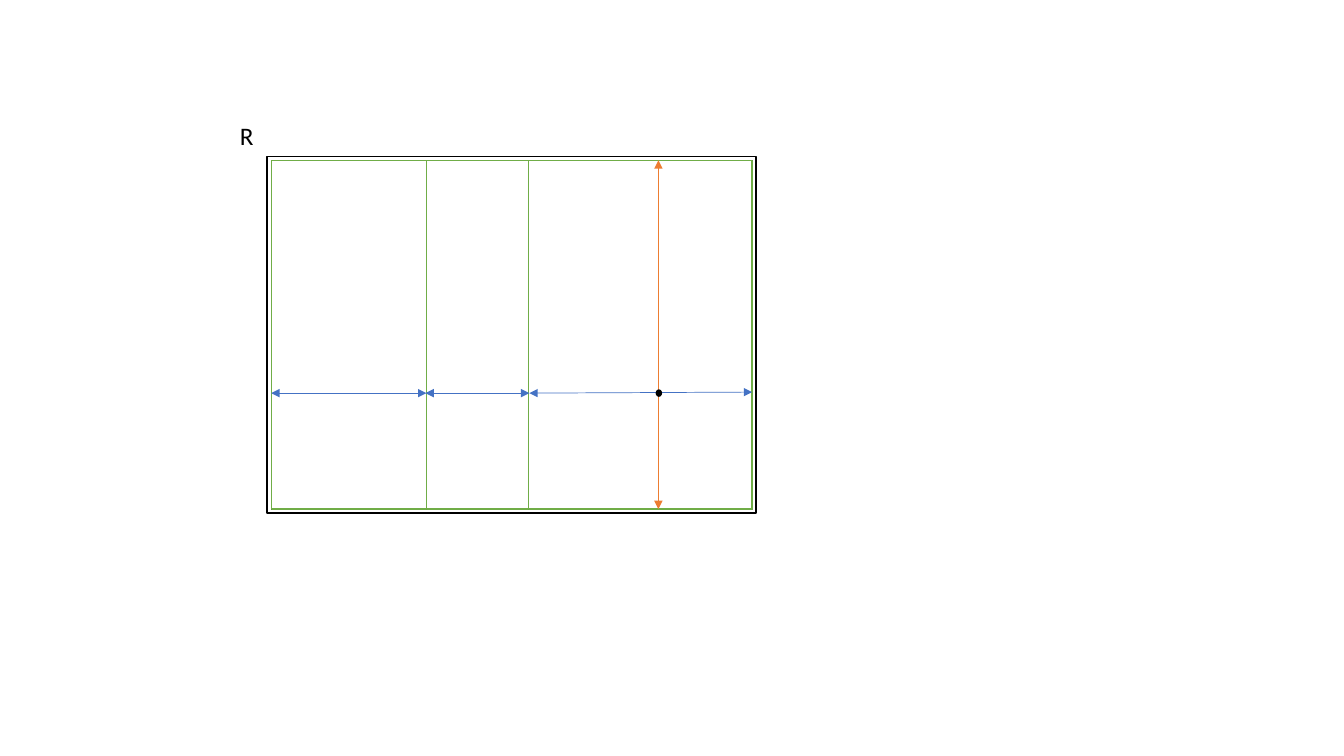
from lxml import etree
from pptx import Presentation
from pptx.dml.color import RGBColor
from pptx.enum.shapes import MSO_CONNECTOR, MSO_SHAPE
from pptx.oxml.ns import qn
from pptx.util import Inches, Pt

COLORS = {
    "black": "000000",
    "white": "FFFFFF",
    "green": "70AD47",
    "blue": "4472C4",
    "orange": "ED7D31",
}


def color(name):
    return RGBColor.from_string(COLORS[name])


def add_outlined(page, kind, left, top, width, height, fill, line):
    shape = page.shapes.add_shape(
        kind, Inches(left), Inches(top), Inches(width), Inches(height))
    shape.shadow.inherit = False
    shape.fill.solid()
    shape.fill.fore_color.rgb = color(fill)
    shape.line.color.rgb = color(line)
    shape.line.width = Pt(1)


def add_double_arrow(page, start, end, line):
    arrow = page.shapes.add_connector(
        MSO_CONNECTOR.STRAIGHT, *[Inches(value) for value in start + end])
    arrow.line.color.rgb = color(line)
    arrow.line.width = Pt(0.5)
    outline = arrow.line._get_or_add_ln()
    for tag in ("a:headEnd", "a:tailEnd"):
        etree.SubElement(outline, qn(tag)).set("type", "triangle")
    etree.SubElement(arrow._element.spPr, qn("a:effectLst"))


def add_label(page, text, left, top, width, height):
    box = page.shapes.add_textbox(
        Inches(left), Inches(top), Inches(width), Inches(height))
    box.text_frame.word_wrap = True
    para = box.text_frame.paragraphs[0]
    para.text = text
    para.font.name = "Calibri"
    para.font.size = Pt(18)
    para.font.color.rgb = color("black")


def main():
    deck = Presentation()
    deck.slide_width, deck.slide_height = Inches(13.33), Inches(7.5)
    page = deck.slides.add_slide(deck.slide_layouts[6])

    # Outer region and its inner frame
    edges = [2.69, 4.23, 5.24, 7.46]
    top, height = 1.59, 3.46
    rect = MSO_SHAPE.RECTANGLE
    add_outlined(page, rect, 2.65, 1.55, 4.85, 3.54, "white", "black")
    add_outlined(page, rect, edges[0], top, edges[-1] - edges[0], height,
                 "white", "black")

    # Vertical strips
    for left, right in zip(edges, edges[1:]):
        add_outlined(page, rect, left, top, right - left, height,
                     "white", "green")
    add_label(page, "R", 2.28, 1.14, 0.48, 0.4)

    # Width arrows, then the height arrow
    for start, end in [((2.69, 3.9), (4.23, 3.9)),
                       ((5.25, 3.9), (7.46, 3.89)),
                       ((4.22, 3.9), (5.25, 3.9))]:
        add_double_arrow(page, start, end, "blue")
    add_double_arrow(page, (6.53, top + height), (6.53, top), "orange")

    # Point where the arrows cross
    add_outlined(page, MSO_SHAPE.OVAL, 6.51, 3.87, 0.05, 0.06,
                 "black", "black")

    deck.save("out.pptx")


if __name__ == "__main__":
    main()
